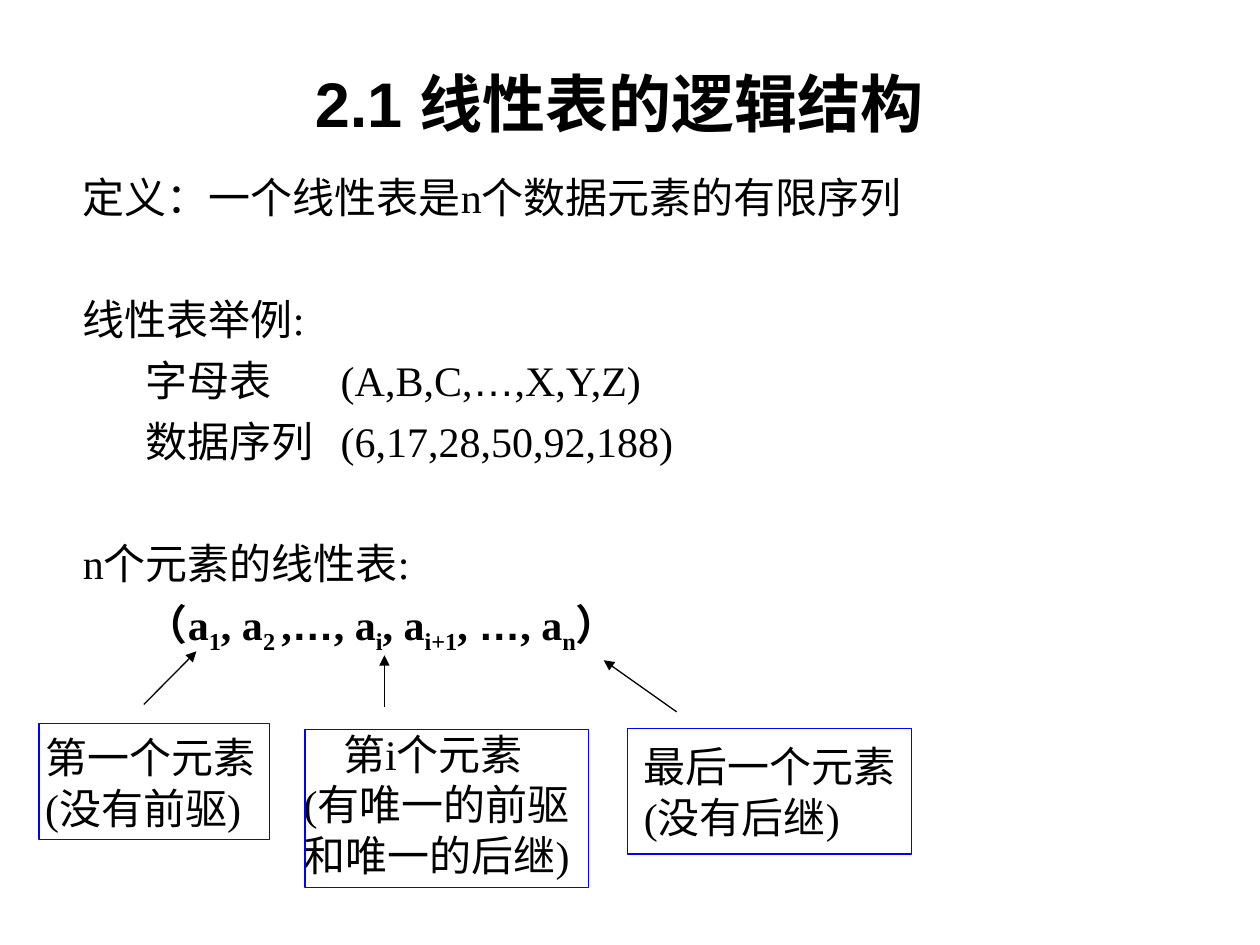
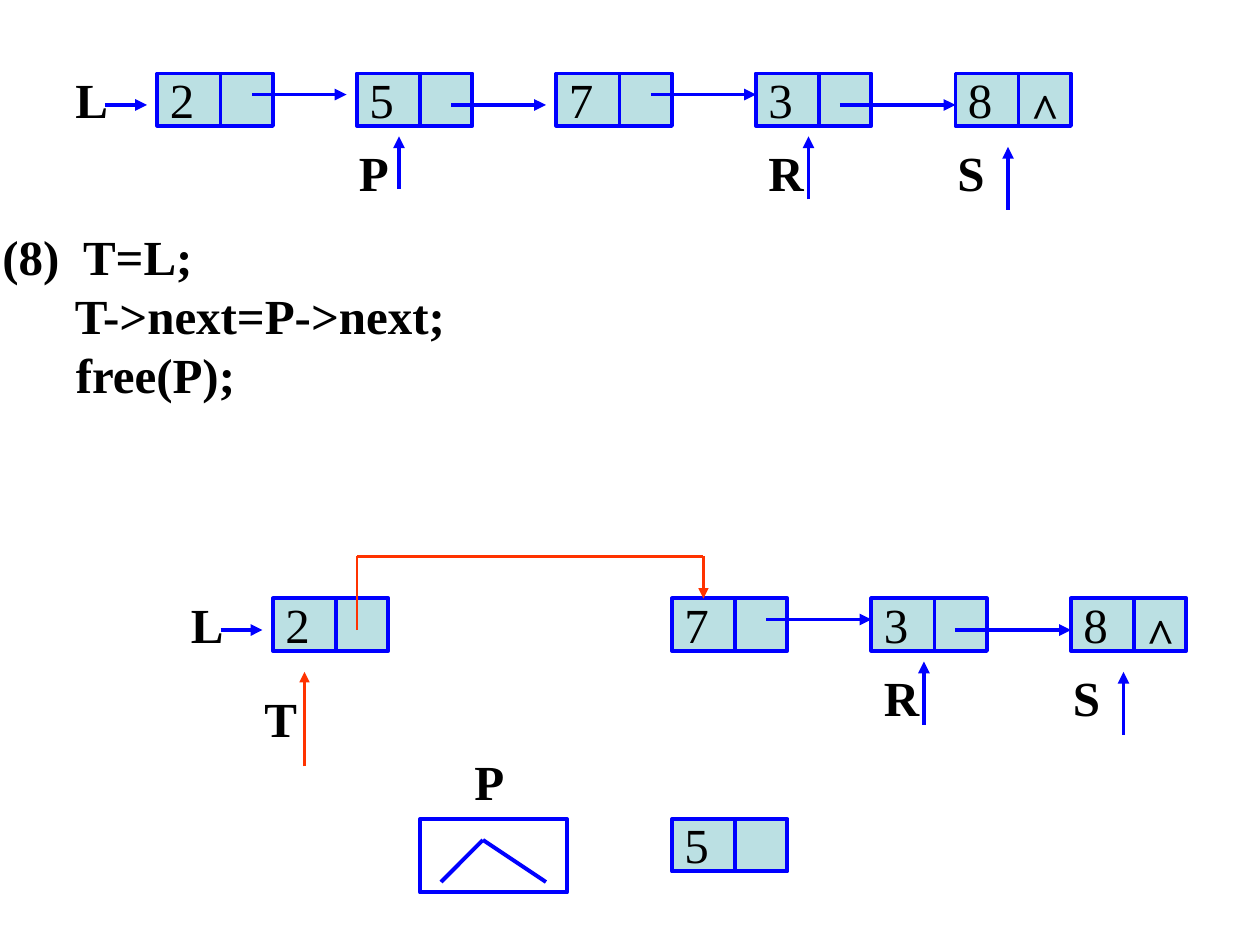
import pptx
import pptx.util
import pptx.dml.color
import pptx.enum.shapes
import pptx.enum.text
import pptx.oxml.ns
from lxml import etree
from pptx.util import Cm

BLACK = "000000"
BLUE = "0000FF"
RED = "FF3300"
WHITE = "FFFFFF"
NODE_FILL = "BBE0E3"
HEADING_FONT = "Arial"
BODY_FONT = "Times New Roman"

UNIT = 2.54 / 12
NODE_WIDTH, NODE_HEIGHT, VALUE_WIDTH, NODE_PITCH = 11, 5, 6, 19
LABEL_HEIGHT = 6.8


def color(value):
    return pptx.dml.color.RGBColor.from_string(value)


def add_text(slide, box, lines, size, font=BODY_FONT, bold=False, wrap=True):
    shape = slide.shapes.add_textbox(*(Cm(length) for length in box))
    frame = shape.text_frame
    frame.word_wrap = wrap
    for index, line in enumerate(lines):
        paragraph = frame.paragraphs[0] if index == 0 else frame.add_paragraph()
        paragraph.text = line
        style_paragraph(paragraph, size, font, bold)
    return frame


def style_paragraph(paragraph, size, font=BODY_FONT, bold=False):
    paragraph.font.size = pptx.util.Pt(size)
    paragraph.font.name = font
    paragraph.font.bold = bold
    paragraph.font.color.rgb = color(BLACK)


def indent_paragraph(paragraph, margin, first_line=0):
    properties = paragraph._p.get_or_add_pPr()
    properties.set("marL", str(Cm(margin)))
    properties.set("indent", str(Cm(first_line)))


def add_rectangle(slide, box, line_width, fill=None):
    shape = slide.shapes.add_shape(
        pptx.enum.shapes.MSO_SHAPE.RECTANGLE, *(Cm(length) for length in box))
    shape.shadow.inherit = False
    if fill:
        shape.fill.solid()
        shape.fill.fore_color.rgb = color(fill)
    else:
        shape.fill.background()
    shape.line.color.rgb = color(BLUE)
    shape.line.width = pptx.util.Pt(line_width)


def add_line(slide, start, end, line_color, width, arrow=False):
    connector = slide.shapes.add_connector(
        pptx.enum.shapes.MSO_CONNECTOR.STRAIGHT,
        *(Cm(length) for length in (*start, *end)))
    connector.line.color.rgb = color(line_color)
    connector.line.width = pptx.util.Pt(width)
    if arrow:
        tail = etree.SubElement(
            connector.line._get_or_add_ln(), pptx.oxml.ns.qn("a:tailEnd"))
        tail.set("type", "triangle")
    etree.SubElement(connector._element.spPr, pptx.oxml.ns.qn("a:effectLst"))


def add_formula(frame, parts):
    paragraph = frame.add_paragraph()
    indent_paragraph(paragraph, 1.27)
    for text, is_subscript in parts:
        run = paragraph.add_run()
        run.text = text
        if is_subscript:
            run._r.get_or_add_rPr().set("baseline", "-25000")
        if text == "…":
            run.font.name = HEADING_FONT
    style_paragraph(paragraph, 24, bold=True)
    return paragraph


def add_definition(slide, box):
    frame = add_text(slide, box, [
        "定义：一个线性表是n个数据元素的有限序列",
        "线性表举例:",
        "字母表\t(A,B,C,",
        "数据序列\t(6,17,28,50,92,188)",
        "n个元素的线性表:",
    ], 24)
    definition, examples, alphabet, sequence, general = frame.paragraphs
    for paragraph in (alphabet, sequence):
        indent_paragraph(paragraph, 5.2, -3.93)
    ellipsis = alphabet.add_run()
    ellipsis.text = "…"
    ellipsis.font.name = HEADING_FONT
    alphabet.add_run().text = ",X,Y,Z)"
    formula = add_formula(frame, [
        ("（a", False), ("1", True), (", a", False), ("2 ", True),
        (",", False), ("…", False), (", a", False), ("i", True),
        (", a", False), ("i+1", True), (", ", False), ("…", False),
        (", a", False), ("n", True), ("）", False),
    ])
    for paragraph in (alphabet, sequence, formula):
        paragraph.space_before = pptx.util.Pt(6)
    for paragraph in (examples, general):
        paragraph.space_before = pptx.util.Pt(41)


def add_callout(slide, box, text_offset, text_size, lines, arrow):
    left, top = box[:2]
    text_box = (left + text_offset[0], top + text_offset[1], *text_size)
    frame = add_text(slide, text_box, lines, 24, wrap=False)
    add_rectangle(slide, box, 0.75)
    add_line(slide, *arrow, BLACK, 0.75, arrow=True)
    return frame


def build_logical_structure(slide):
    title = add_text(slide, (1.6, 1.17, 21.77, 2), ["2.1 线性表的逻辑结构"],
                     36, HEADING_FONT, bold=True)
    title.paragraphs[0].alignment = pptx.enum.text.PP_ALIGN.CENTER
    add_definition(slide, (1.42, 3.33, 23.44, 11.07))
    add_callout(slide, (0.79, 14.58, 4.65, 2.34), (-0.13, 0.05), (5.08, 2.29),
                ["第一个元素", "(没有前驱)"],
                ((2.9, 14.2), (3.96, 13.13)))
    middle = add_callout(
        slide, (6.15, 14.71, 5.72, 3.18), (-0.28, -0.15), (6.07, 3.3),
        ["第i个元素", "(有唯一的前驱", "和唯一的后继)"],
        ((7.75, 14.25), (7.75, 13.21)))
    indent_paragraph(middle.paragraphs[0], 0, 0.8)
    add_callout(slide, (12.65, 14.68, 5.72, 2.54), (0.08, 0.13), (5.59, 2.29),
                ["最后一个元素", "(没有后继)"],
                ((13.64, 14.35), (12.17, 13.31)))


def grid(*lengths):
    return tuple(length * UNIT for length in lengths)


def add_label(slide, left, top, text, width=VALUE_WIDTH, bold=True):
    add_text(slide, grid(left, top, width, LABEL_HEIGHT), [text], 28, bold=bold)


def add_path(slide, points, line_color=BLUE, width=2.25, arrow=True):
    segments = list(zip(points, points[1:]))
    for index, (start, end) in enumerate(segments, 1):
        add_line(slide, grid(*start), grid(*end), line_color, width,
                 arrow and index == len(segments))


def add_node(slide, left, top, value):
    add_rectangle(slide, grid(left, top, NODE_WIDTH, NODE_HEIGHT), 2.25, NODE_FILL)
    divider = left + VALUE_WIDTH
    add_path(slide, [(divider, top), (divider, top + NODE_HEIGHT)], arrow=False)
    add_label(slide, left, top - 1, value, bold=False)


def add_linked_list(slide, left, top, values, links, pointers):
    add_label(slide, left - 9, top - 1, "L")
    add_path(slide, [(left - 5, top + 3), (left - 1, top + 3)])
    for slot, value in values.items():
        add_node(slide, left + slot * NODE_PITCH, top, value)
    for start, end, height in links:
        add_path(slide, [(left + start, top + height), (left + end, top + height)])
    last_cell = left + max(values) * NODE_PITCH + VALUE_WIDTH
    add_label(slide, last_cell, top, "^", NODE_WIDTH - VALUE_WIDTH)
    for name, label_left, arrow_left, tip, tail in pointers:
        add_label(slide, left + label_left, top + 6, name, 10)
        x = left + arrow_left
        add_path(slide, [(x, top + tail), (x, top + tip)])


def add_freed_node(slide, left, top):
    add_label(slide, left + 4, top - 7, "P", 14)
    add_rectangle(slide, grid(left, top, 14, 7), 2.25, WHITE)
    add_path(slide, [(left + 2, top + 6), (left + 6, top + 2), (left + 12, top + 6)],
             arrow=False)
    add_node(slide, left + 24, top, "5")


def add_bypass(slide, left, top):
    add_label(slide, left - 2, top + 8, "T", 15)
    add_path(slide, [(left + 3, top + 16), (left + 3, top + 7)], RED, 1.5)
    add_path(slide, [(left + 8, top + 3), (left + 8, top - 4),
                     (left + 41, top - 4), (left + 41, top)], RED, 1.5)


def build_node_removal(slide):
    add_text(slide, (-0.2, 4.45, 12.32, 5), [
        "(8)  T=L;",
        "      T->next=P->next;",
        "      free(P);",
    ], 28, bold=True, wrap=False)
    links = [(9, 18, 2), (28, 37, 3), (47, 57, 2), (65, 76, 3)]
    pointers = [("P", 18, 23, 6, 11), ("R", 57, 62, 6, 12), ("S", 75, 81, 7, 13)]
    values = dict(enumerate("25738"))
    add_linked_list(slide, 15, 7, values, links, pointers)
    remaining = {slot: value for slot, value in values.items() if value != "5"}
    add_linked_list(slide, 26, 57, remaining, links[2:], pointers[1:])
    add_bypass(slide, 26, 57)
    add_freed_node(slide, 40, 78)


def main():
    presentation = pptx.Presentation()
    presentation.slide_width = Cm(25.4)
    presentation.slide_height = Cm(19.05)
    for build in (build_logical_structure, build_node_removal):
        build(presentation.slides.add_slide(presentation.slide_layouts[6]))
    presentation.save("out.pptx")


if __name__ == "__main__":
    main()
